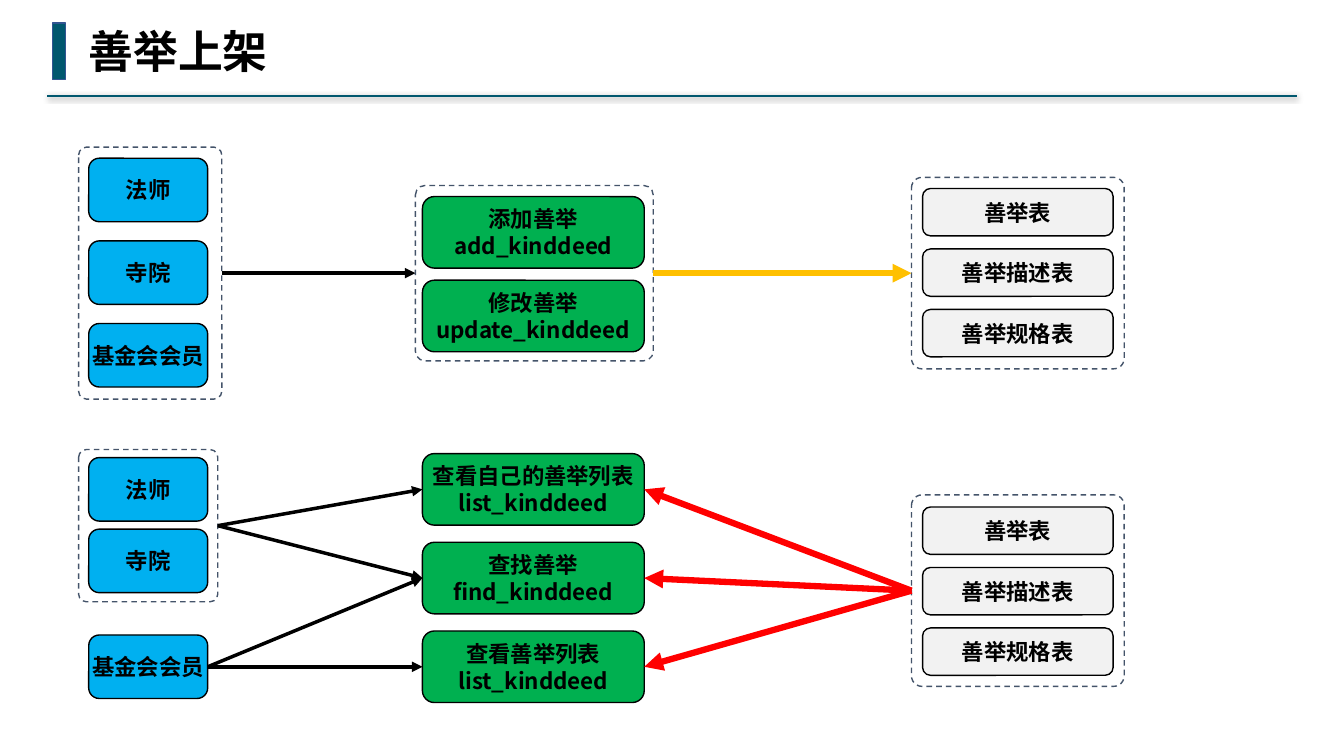
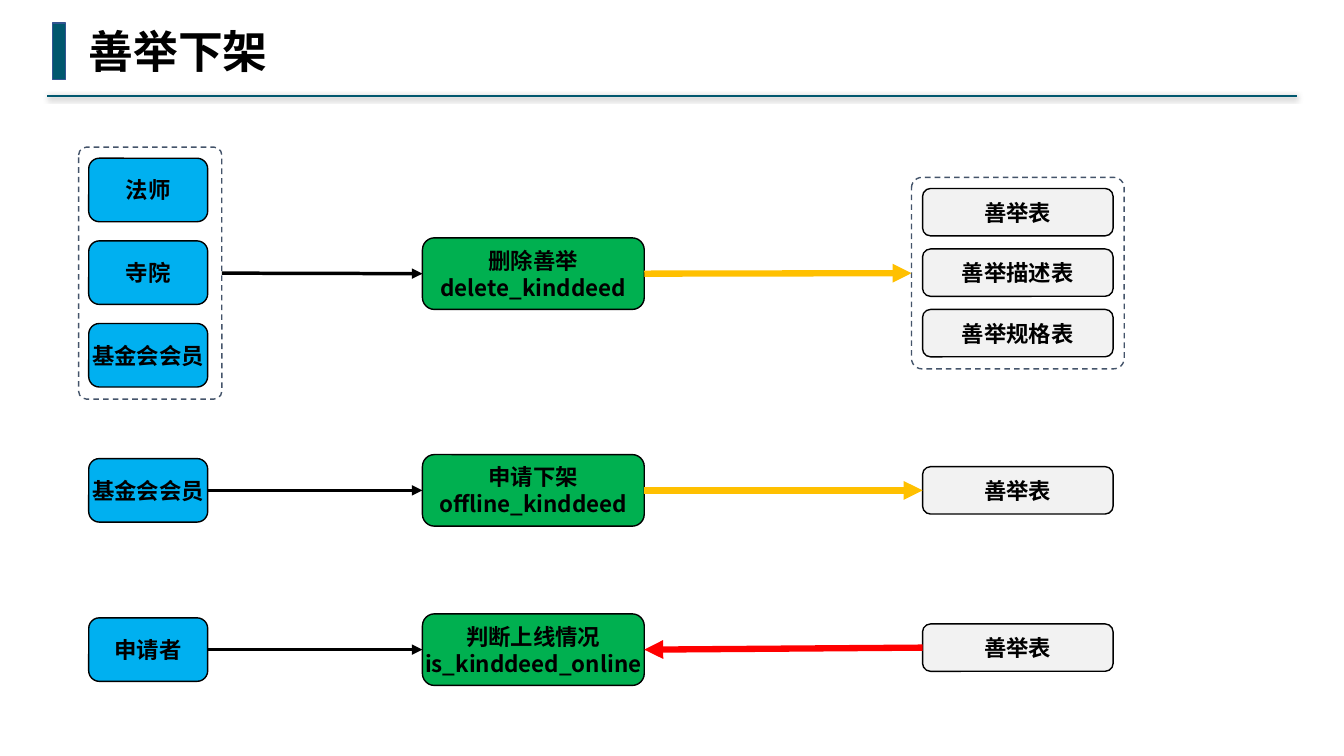
from lxml import etree
from pptx import Presentation
from pptx.dml.color import RGBColor
from pptx.enum.dml import MSO_LINE
from pptx.enum.shapes import MSO_CONNECTOR, MSO_SHAPE
from pptx.enum.text import MSO_ANCHOR, MSO_AUTO_SIZE, PP_ALIGN
from pptx.oxml.ns import qn
from pptx.util import Pt

RECTANGLE, ROUNDED = MSO_SHAPE.RECTANGLE, MSO_SHAPE.ROUNDED_RECTANGLE
STRAIGHT, DASH = MSO_CONNECTOR.STRAIGHT, MSO_LINE.DASH
MIDDLE, CENTER, LEFT = MSO_ANCHOR.MIDDLE, PP_ALIGN.CENTER, PP_ALIGN.LEFT
FIT_SHAPE = MSO_AUTO_SIZE.SHAPE_TO_FIT_TEXT
LEFT_SITE, RIGHT_SITE = 1, 3  # connection sites of a rectangle

PX = 9144  # EMU per px, 100 px to the inch
SLIDE_SIZE = (1333, 750)
BODY_FONT, TITLE_FONT = "Noto Sans CJK SC", "Courier New"
COLOURS = {
    "theme": "00576E", "marker_line": "325491", "ink": "000000", "frame": "44546A",
    "actor": "00B0F0", "action": "00B050", "table": "F2F2F2",
    "write": "FFC000", "read": "FF0000",
}

# Box columns: left, width, height
COLUMNS = {"actor": (88, 118, 63), "action": (419, 220, 71), "table": (915, 189, 47)}

# Arrow kinds: colour, line width, start site, end site
ARROWS = {
    "call": ("ink", 2.5, RIGHT_SITE, LEFT_SITE),
    "write": ("write", 4.5, RIGHT_SITE, LEFT_SITE),
    "read": ("read", 4.5, LEFT_SITE, RIGHT_SITE),
}

ACTORS = ["法师", "寺院", "基金会会员"]
TABLES = ["善举表", "善举描述表", "善举规格表"]

# Stacks: name -> column, top of first box, step, labels, dashed frame
ALL_ACTORS = ("actor", 157, 82, ACTORS, (78, 146, 142, 250))
ALL_TABLES = ("table", 187, 60, TABLES, (904, 176, 211, 190))


def single(column, top, label):
    return column, top, 0, [label], None


SLIDES = [
    {
        "title": "善举上架",
        "stacks": {
            "editors": ALL_ACTORS,
            "edit": ("action", 195, 83,
                     ["添加善举\nadd_kinddeed", "修改善举\nupdate_kinddeed"],
                     (412, 184, 236, 174)),
            "written": ALL_TABLES,
            "owners": ("actor", 454, 71, ACTORS[:2], (78, 446, 138, 151)),
            "member": single("actor", 630, ACTORS[2]),
            "own_list": single("action", 450, "查看自己的善举列表\nlist_kinddeed"),
            "find": single("action", 538, "查找善举\nfind_kinddeed"),
            "list": single("action", 626, "查看善举列表\nlist_kinddeed"),
            "queried": ("table", 503, 60, TABLES, (904, 491, 211, 190)),
        },
        "arrows": [
            ("editors", "edit", "call"), ("edit", "written", "write"),
            ("owners", "own_list", "call"), ("owners", "find", "call"),
            ("member", "find", "call"), ("member", "list", "call"),
            ("queried", "own_list", "read"), ("queried", "find", "read"),
            ("queried", "list", "read"),
        ],
    },
    {
        "title": "善举下架",
        "stacks": {
            "editors": ALL_ACTORS,
            "delete": single("action", 236, "删除善举\ndelete_kinddeed"),
            "deleted": ALL_TABLES,
            "member": single("actor", 455, ACTORS[2]),
            "offline": single("action", 451, "申请下架\noffline_kinddeed"),
            "offlined": single("table", 463, TABLES[0]),
            "applicant": single("actor", 613, "申请者"),
            "check": single("action", 609, "判断上线情况\nis_kinddeed_online"),
            "checked": single("table", 619, TABLES[0]),
        },
        "arrows": [
            ("editors", "delete", "call"), ("delete", "deleted", "write"),
            ("member", "offline", "call"), ("offline", "offlined", "write"),
            ("applicant", "check", "call"), ("checked", "check", "read"),
        ],
    },
]


def emu(*lengths):
    return [length * PX for length in lengths]


def colour(name):
    return RGBColor.from_string(COLOURS[name])


def set_text(shape, text, size=16, font=BODY_FONT, align=CENTER):
    frame = shape.text_frame
    frame.word_wrap = False
    frame.text = text
    for paragraph in frame.paragraphs:
        paragraph.alignment = align
        for run in paragraph.runs:
            run.font.size, run.font.bold, run.font.name = Pt(size), True, font
            run.font.color.rgb = colour("ink")
            east_asian = etree.SubElement(run.font._element, qn("a:ea"))
            east_asian.set("typeface", BODY_FONT)
    return frame


def add_box(slide, preset, place, line, fill=None):
    shape = slide.shapes.add_shape(preset, *emu(*place))
    shape.shadow.inherit = False
    if fill:
        shape.fill.solid()
        shape.fill.fore_color.rgb = colour(fill)
    else:
        shape.fill.background()
    shape.line.color.rgb = colour(line)
    shape.line.width = Pt(1)
    return shape


def add_line(slide, points, line, width):
    connector = slide.shapes.add_connector(STRAIGHT, *emu(*points))
    connector.line.color.rgb = colour(line)
    connector.line.width = Pt(width)
    effects = etree.SubElement(connector._element.spPr, qn("a:effectLst"))
    return connector, effects


def add_header(slide, title):
    # Rule with a soft shadow below it
    effects = add_line(slide, (47, 95, 1286, 95), "theme", 1.5)[1]
    shadow = etree.SubElement(effects, qn("a:outerShdw"), blurRad=str(Pt(4)),
                              dist=str(Pt(1)), dir="5400000", rotWithShape="0")
    tint = etree.SubElement(shadow, qn("a:srgbClr"), val=COLOURS["ink"])
    etree.SubElement(tint, qn("a:alpha"), val="40000")
    # Marker and title
    add_box(slide, RECTANGLE, (52, 23, 13, 56), "marker_line", "theme")
    text_box = slide.shapes.add_textbox(*emu(78, 19, 200, 64))
    set_text(text_box, title, size=32, font=TITLE_FONT, align=LEFT).auto_size = FIT_SHAPE


def add_stack(slide, column, first_top, step, labels, frame_place):
    """Draw the boxes and return the shape that arrows attach to."""
    left, width, height = COLUMNS[column]
    for index, label in enumerate(labels):
        place = (left, first_top + index * step, width, height)
        box = add_box(slide, ROUNDED, place, "ink", column)
        text_frame = set_text(box, label)
        text_frame.vertical_anchor = MIDDLE
        text_frame.margin_left = text_frame.margin_right = 4 * PX
        text_frame.margin_top = text_frame.margin_bottom = 4 * PX
    if not frame_place:
        return box
    outline = add_box(slide, ROUNDED, frame_place, "frame")
    outline.adjustments[0] = 0.055
    outline.line.dash_style = DASH
    return outline


def add_arrow(slide, start, end, kind):
    line, width, start_site, end_site = ARROWS[kind]
    connector = add_line(slide, (0, 0, 0, 0), line, width)[0]
    connector.begin_connect(start, start_site)
    connector.end_connect(end, end_site)
    etree.SubElement(connector.line._get_or_add_ln(), qn("a:tailEnd"), type="triangle")


def main():
    presentation = Presentation()
    presentation.slide_width, presentation.slide_height = emu(*SLIDE_SIZE)
    for content in SLIDES:
        slide = presentation.slides.add_slide(presentation.slide_layouts[6])
        add_header(slide, content["title"])
        ends = {name: add_stack(slide, *stack) for name, stack in content["stacks"].items()}
        for start, end, kind in content["arrows"]:
            add_arrow(slide, ends[start], ends[end], kind)
    presentation.save("out.pptx")


if __name__ == "__main__":
    main()
